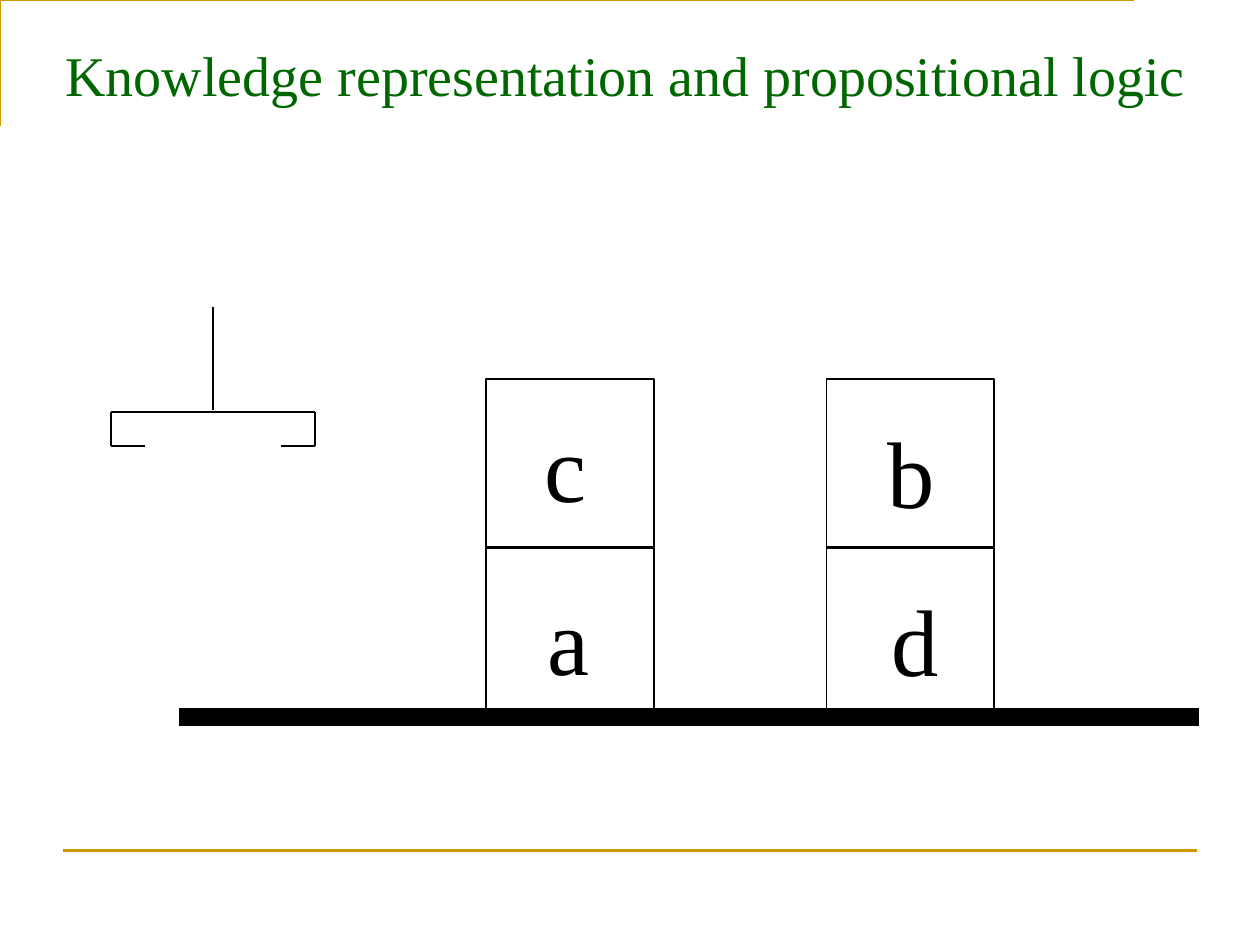
import pptx
import pptx.dml.color
import pptx.enum.shapes
import pptx.enum.text
import pptx.oxml
import pptx.oxml.ns
import pptx.util

Inches, Pt = pptx.util.Inches, pptx.util.Pt

THEME = {
    "font": "Times New Roman", "title_size": 32, "label_size": 54,
    "title": "006600", "accent": "CC9900", "ink": "000000", "paper": "FFFFFF",
    "accent_line": 1.5, "thin_line": 1, "table_line": 10,
}

TITLE = "Knowledge representation and propositional logic"
BLOCK_SIZE = 1.33
STACK_LEFTS = (3.86, 6.56)
ROW_TOPS = (4.35, 3.01)  # bottom row first
# letter, stack, row, label left, label top, label width
BLOCKS = [
    ("a", 0, 0, 4.24, 4.56, 0.54),
    ("d", 1, 0, 6.97, 4.57, 0.58),
    ("c", 0, 1, 4.22, 3.19, 0.54),
    ("b", 1, 1, 6.94, 3.24, 0.58),
]
TABLE = ((1.42, 5.69), (9.52, 5.69))
FOOTER_RULE = ((0.5, 6.75), (9.5, 6.75))
TITLE_FRAME = [(0.42, 0.92), (0.42, 0.25), (9.42, 0.25)]
GRIPPER = {"left": 0.88, "right": 2.5, "top": 3.27, "bottom": 3.54, "finger": 0.27}
ARM_TOP, ARM_BOTTOM = 2.44, 3.25


def color(name):
    return pptx.dml.color.RGBColor.from_string(THEME[name])


def style_line(line, color_name, width_name):
    line.color.rgb = color(color_name)
    line.width = Pt(THEME[width_name])


def style_font(font, color_name, size_name):
    font.name = THEME["font"]
    font.size = Pt(THEME[size_name])
    font.color.rgb = color(color_name)


def add_line(slide, start, end, color_name="ink", width_name="thin_line"):
    connector = slide.shapes.add_connector(
        pptx.enum.shapes.MSO_CONNECTOR.STRAIGHT, *map(Inches, (*start, *end)))
    style_line(connector.line, color_name, width_name)
    properties = connector._element.spPr
    properties.append(pptx.oxml.parse_xml(
        f'<a:effectLst {pptx.oxml.ns.nsdecls("a")}/>'))


def add_title(slide):
    builder = slide.shapes.build_freeform(*TITLE_FRAME[0], scale=Inches(1))
    builder.add_line_segments(TITLE_FRAME[1:], close=False)
    frame = builder.convert_to_shape()
    frame.shadow.inherit = False
    frame.fill.background()
    style_line(frame.line, "accent", "accent_line")

    title = slide.shapes.title
    title.left, title.top, title.width, title.height = map(Inches, (0.42, 0.25, 9.17, 0.75))
    title.text_frame.text = TITLE
    title.text_frame.auto_size = pptx.enum.text.MSO_AUTO_SIZE.NONE
    title.text_frame.vertical_anchor = pptx.enum.text.MSO_ANCHOR.MIDDLE
    paragraph = title.text_frame.paragraphs[0]
    paragraph.alignment = pptx.enum.text.PP_ALIGN.LEFT
    paragraph.line_spacing = 0.86
    style_font(paragraph.font, "title", "title_size")


def add_block(slide, letter, stack, row, label_left, label_top, label_width):
    block = slide.shapes.add_shape(
        pptx.enum.shapes.MSO_SHAPE.RECTANGLE,
        *map(Inches, (STACK_LEFTS[stack], ROW_TOPS[row], BLOCK_SIZE, BLOCK_SIZE)))
    block.shadow.inherit = False
    block.fill.solid()
    block.fill.fore_color.rgb = color("paper")
    style_line(block.line, "ink", "thin_line")

    label = slide.shapes.add_textbox(*map(Inches, (label_left, label_top, label_width, 1)))
    label.text_frame.word_wrap = False
    label.text_frame.auto_size = pptx.enum.text.MSO_AUTO_SIZE.SHAPE_TO_FIT_TEXT
    label.text_frame.text = letter
    paragraph = label.text_frame.paragraphs[0]
    paragraph.alignment = pptx.enum.text.PP_ALIGN.CENTER
    style_font(paragraph.font, "ink", "label_size")


def add_gripper(slide):
    left, right, top, bottom, finger = GRIPPER.values()
    center = (left + right) / 2
    add_line(slide, (center, ARM_BOTTOM), (center, ARM_TOP))
    add_line(slide, (left, top), (right, top))
    for side, tip in ((left, left + finger), (right, right - finger)):
        add_line(slide, (side, top), (side, bottom))
        add_line(slide, (side, bottom), (tip, bottom))


def main():
    presentation = pptx.Presentation()
    presentation.slide_width, presentation.slide_height = Inches(10), Inches(7.5)
    slide = presentation.slides.add_slide(presentation.slide_layouts.get_by_name("Title Only"))
    add_title(slide)
    add_line(slide, *FOOTER_RULE, "accent", "accent_line")
    for block in BLOCKS:
        add_block(slide, *block)
    add_line(slide, *TABLE, width_name="table_line")
    add_gripper(slide)
    presentation.save("out.pptx")


if __name__ == "__main__":
    main()
